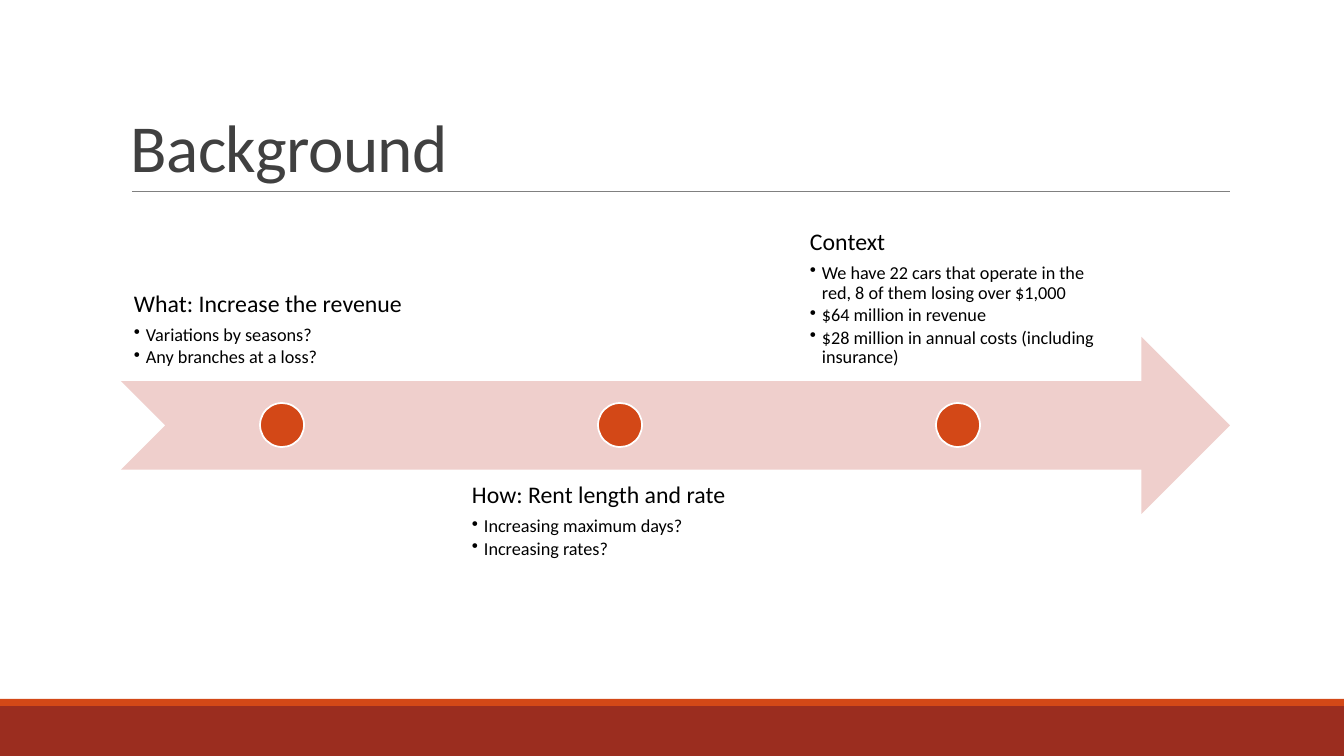
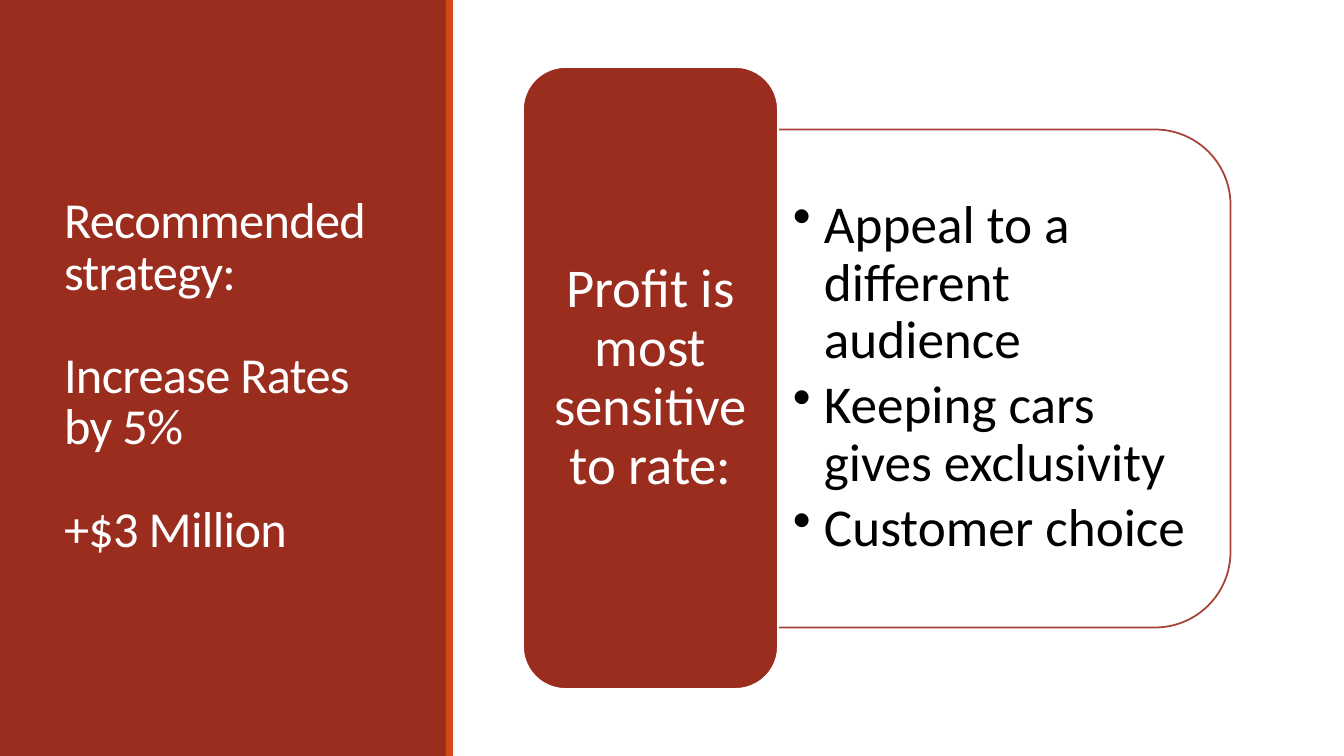
from lxml import etree
from pptx import Presentation
from pptx.dml.color import RGBColor
from pptx.enum.shapes import MSO_CONNECTOR, MSO_SHAPE
from pptx.enum.text import MSO_ANCHOR, PP_ALIGN
from pptx.oxml.ns import qn
from pptx.util import Pt

RECT = MSO_SHAPE.RECTANGLE
ROUND_RECT = MSO_SHAPE.ROUNDED_RECTANGLE
TWO_ROUND_RECT = MSO_SHAPE.ROUND_2_SAME_RECTANGLE
NOTCHED_ARROW = MSO_SHAPE.NOTCHED_RIGHT_ARROW
ELLIPSE = MSO_SHAPE.OVAL
STRAIGHT = MSO_CONNECTOR.STRAIGHT
TOP, MIDDLE, BOTTOM = MSO_ANCHOR.TOP, MSO_ANCHOR.MIDDLE, MSO_ANCHOR.BOTTOM
LEFT, CENTER = PP_ALIGN.LEFT, PP_ALIGN.CENTER

WIDTH, HEIGHT = 1344, 756
COLORS = {
    "brick": "9B2D1F",
    "orange": "D34817",
    "blush": "EFCFCC",
    "edge": "A54235",
    "title": "404040",
    "rule": "808080",
    "black": "000000",
    "white": "FFFFFF",
}


def px(length):
    """Turn picture pixels into EMU."""
    return round(length * 914400 / 100.8)


def rgb(name):
    """Look up a named colour."""
    return RGBColor.from_string(COLORS[name])


class Builder:
    """Holds the deck style and the current slide."""

    font = "Calibri"

    def __init__(self):
        """Open a deck of the right size."""
        self.deck = Presentation()
        self.deck.slide_width, self.deck.slide_height = px(WIDTH), px(HEIGHT)
        self.page = None

    def add_page(self):
        """Start a blank slide."""
        self.page = self.deck.slides.add_slide(self.deck.slide_layouts[6])

    def shape(self, kind, left, top, width, height, fill=None, line=None):
        """Add a preset shape."""
        shape = self.page.shapes.add_shape(kind, px(left), px(top), px(width), px(height))
        shape.shadow.inherit = False
        if fill:
            shape.fill.solid()
            shape.fill.fore_color.rgb = rgb(fill)
        else:
            shape.fill.background()
        if line:
            shape.line.color.rgb = rgb(line)
            shape.line.width = Pt(1.25)
        else:
            shape.line.fill.background()
        return shape

    def rule(self, left, right, y):
        """Add a thin horizontal line."""
        line = self.page.shapes.add_connector(STRAIGHT, px(left), px(y), px(right), px(y))
        line.line.color.rgb = rgb("rule")
        line.line.width = Pt(0.5)
        etree.SubElement(line._element.spPr, qn("a:effectLst"))

    def frame(self, shape, anchor, inset_x, inset_y):
        """Prepare the text frame of a shape."""
        frame = shape.text_frame
        frame.word_wrap = True
        frame.vertical_anchor = anchor
        frame.margin_left = frame.margin_right = px(inset_x)
        frame.margin_top = frame.margin_bottom = px(inset_y)
        return frame

    def text_box(self, left, top, width, height, anchor, inset_x=10, inset_y=5):
        """Add an empty text box and return its frame."""
        box = self.page.shapes.add_textbox(px(left), px(top), px(width), px(height))
        return self.frame(box, anchor, inset_x, inset_y)

    def paragraphs(self, frame, lines, size, color="black", after=0, spacing=0.9,
                   align=LEFT, hang=0, tracking=0):
        """Add paragraphs of one style, bulleted when they hang."""
        for line in lines:
            para = frame.paragraphs[0]
            if para.runs:
                para = frame.add_paragraph()
            para.add_run().text = line
            para.alignment = align
            para.line_spacing = spacing
            para.space_after = Pt(after)
            props = para._p.get_or_add_pPr()
            if hang:
                props.set("marL", str(px(hang)))
                props.set("indent", str(-px(hang)))
                etree.SubElement(props, qn("a:buChar"), char="•")
            para.font.name = self.font
            para.font.size = Pt(size)
            para.font.color.rgb = rgb(color)
            if tracking:
                props.find(qn("a:defRPr")).set("spc", str(tracking))

    def title(self, lines, left, top, width, height, anchor, size, color, after=0):
        """Add a slide title."""
        frame = self.text_box(left, top, width, height, anchor)
        self.paragraphs(frame, lines, size, color, after, spacing=0.85, tracking=-50)

    def milestone(self, left, top, anchor, heading, points):
        """Add a timeline note and its dot."""
        frame = self.text_box(left, top, 322, 177, anchor, 13, 13)
        self.paragraphs(frame, [heading], 17, after=6)
        self.paragraphs(frame, points, 13, after=2, hang=12)
        self.shape(ELLIPSE, left + 139, 403, 44, 44, "orange", "white")


def background_slide(deck):
    """Build the timeline slide."""
    deck.add_page()
    deck.shape(RECT, 0, 706, WIDTH, 50, "brick")
    deck.shape(RECT, 0, 699, WIDTH, 7, "orange")
    deck.rule(132, 1230, 191)
    deck.title(["Background"], 121, 31, 1109, 160, BOTTOM, 48, "title")
    deck.shape(NOTCHED_ARROW, 121, 337, 1109, 177, "blush")
    milestones = [
        (204, BOTTOM, "What: Increase the revenue",
         ["Variations by seasons?", "Any branches at a loss?"]),
        (470, TOP, "How: Rent length and rate",
         ["Increasing maximum days?", "Increasing rates?"]),
        (204, BOTTOM, "Context",
         ["We have 22 cars that operate in the red, 8 of them losing over $1,000",
          "$64 million in revenue",
          "$28 million in annual costs (including insurance)"]),
    ]
    for index, (top, anchor, heading, points) in enumerate(milestones):
        deck.milestone(121 + 338 * index, top, anchor, heading, points)


def strategy_slide(deck):
    """Build the recommendation slide."""
    deck.add_page()
    deck.shape(RECT, 0, 0, 447, HEIGHT, "brick")
    deck.title(["Recommended strategy:", "Increase Rates by 5%", "+$3 Million"],
               54, 67, 340, 622, MIDDLE, 36, "white", after=37)
    deck.shape(RECT, 446, 0, 7, HEIGHT, "orange")
    panel = deck.shape(TWO_ROUND_RECT, 755, 152, 498, 453, line="edge")
    panel.rotation = 90
    reasons = deck.text_box(777, 151, 430, 454, MIDDLE, 16, 8)
    deck.paragraphs(reasons, ["Appeal to a different audience",
                              "Keeping cars gives exclusivity",
                              "Customer choice"], 38, after=5.7, hang=31)
    card = deck.shape(ROUND_RECT, 523, 67, 255, 622, "brick", "white")
    message = deck.frame(card, MIDDLE, 16, 8)
    deck.paragraphs(message, ["Profit is most sensitive to rate:"], 39, "white", align=CENTER)


builder = Builder()
background_slide(builder)
strategy_slide(builder)
builder.deck.save("out.pptx")
